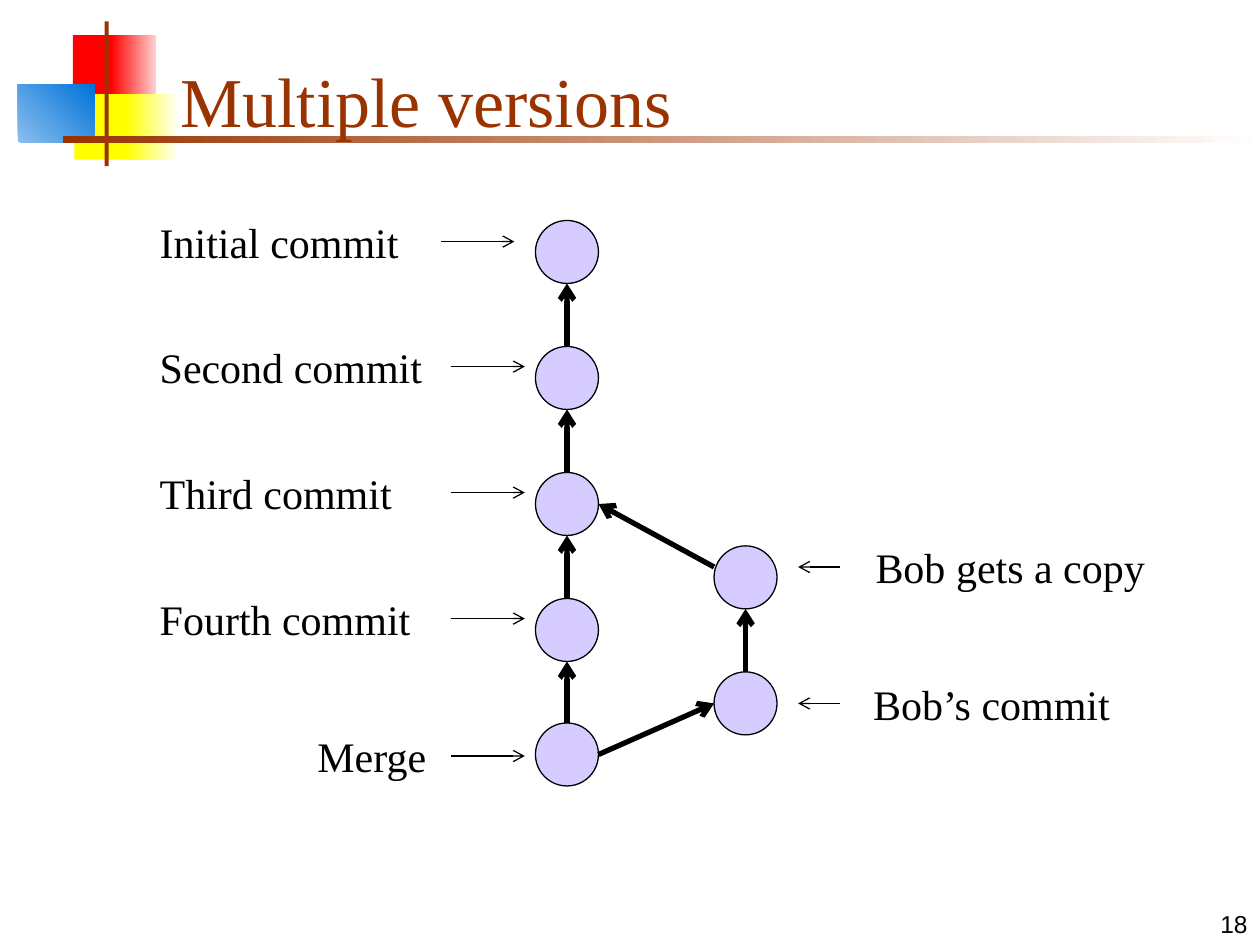
from lxml.etree import SubElement
from pptx import Presentation
from pptx.dml.color import RGBColor
from pptx.enum.shapes import MSO_CONNECTOR, MSO_SHAPE
from pptx.enum.text import MSO_ANCHOR, PP_ALIGN
from pptx.oxml.ns import qn
from pptx.util import Cm, Pt

COLORS = {
    "red": "FF0000", "pink": "FFD1D1", "yellow": "FFFF00", "cream": "FFFFF0",
    "sky": "8BBFEE", "blue": "0073D9", "brown": "993300", "white": "FFFFFF",
    "black": "000000", "node": "D6CCFF",
}
SERIF, SANS = "Times New Roman", "Arial"

DECOR = [
    (1.47, 0.71, 0.89, 1.32, ["red"], 0),
    (2.24, 0.71, 0.91, 1.32, ["red", "pink"], 0),
    (1.5, 1.9, 1.17, 1.32, ["yellow"], 0),
    (2.54, 1.9, 1.02, 1.32, ["yellow", "cream"], 0),
    (0.36, 1.7, 1.55, 1.17, ["sky", "blue"], 45),
    (2.11, 0.43, 0.08, 2.92, ["brown"], 0),
    (1.27, 2.74, 24.13, 0.14, ["brown", "white"], 0),
]

RADIUS, MAIN_X, BOB_X = 0.635, 11.43, 15.03
FIRST_Y, STEP = 5.08, 2.54
NODES = {name: (MAIN_X, FIRST_Y + i * STEP)
         for i, name in enumerate(["initial", "second", "third", "fourth"])}
NODES.update(merge=(MAIN_X, 15.21), copy=(BOB_X, 11.64), bob=(BOB_X, 14.18))

SIDES = {"top": (0, -1), "bottom": (0, 1), "left": (-1, 0), "right": (1, 0),
         "upper left": (-1, -0.33)}
LINKS = [
    ("second", "top", "initial", "bottom"),
    ("third", "top", "second", "bottom"),
    ("fourth", "top", "third", "bottom"),
    ("merge", "top", "fourth", "bottom"),
    ("bob", "top", "copy", "bottom"),
    ("copy", "upper left", "third", "right"),
    ("merge", "right", "bob", "left"),
]

LABEL_H = 1.27
LABELS = [
    ("Initial commit", 2.97, 5.92, 4.87, 8.89, 10.37, True),
    ("Second commit", 2.97, 6.15, 7.39, 9.1, 10.58, True),
    ("Third commit", 2.97, 6.15, 9.93, 9.1, 10.58, True),
    ("Fourth commit", 2.97, 6.15, 12.47, 9.1, 10.58, True),
    ("Merge", 6.15, 2.97, 15.24, 9.1, 10.58, True),
    ("Bob gets a copy", 17.4, 5.94, 11.43, 16.93, 16.09, False),
    ("Bob’s commit", 17.35, 5.33, 14.18, 16.93, 16.09, False),
]


def rgb(name):
    return RGBColor.from_string(COLORS[name])


def write(tf, text, size, font, color="black", align=PP_ALIGN.LEFT):
    p = tf.paragraphs[0]
    p.alignment = align
    r = p.add_run()
    r.text = text
    r.font.size = Pt(size)
    r.font.name = font
    r.font.color.rgb = rgb(color)


def add_text(s, box, text, size, font, wrap=True, align=PP_ALIGN.LEFT,
             anchor=MSO_ANCHOR.TOP):
    tf = s.shapes.add_textbox(*map(Cm, box)).text_frame
    tf.word_wrap = wrap
    tf.vertical_anchor = anchor
    write(tf, text, size, font, align=align)


def add_shape(s, kind, box, colors, angle=0):
    sp = s.shapes.add_shape(kind, *map(Cm, box))
    sp.shadow.inherit = False
    if len(colors) == 1:
        sp.fill.solid()
        sp.fill.fore_color.rgb = rgb(colors[0])
    else:
        sp.fill.gradient()
        sp.fill.gradient_angle = angle
        for stop, color in zip(sp.fill.gradient_stops, colors):
            stop.color.rgb = rgb(color)
    sp.line.fill.background()
    return sp


def add_arrow(s, start, end, width):
    cx = s.shapes.add_connector(MSO_CONNECTOR.STRAIGHT, *map(Cm, (*start, *end)))
    cx.line.width = Pt(width)
    cx.line.color.rgb = rgb("black")
    SubElement(cx.line._get_or_add_ln(), qn("a:tailEnd"), type="arrow")
    SubElement(cx.element.spPr, qn("a:effectLst"))


def side_point(node, side):
    return [c + RADIUS * d for c, d in zip(NODES[node], SIDES[side])]


def main():
    prs = Presentation()
    prs.slide_width, prs.slide_height = Cm(25.4), Cm(19.05)
    s = prs.slides.add_slide(prs.slide_layouts[5])

    for *box, colors, angle in DECOR:
        add_shape(s, MSO_SHAPE.RECTANGLE, box, colors, angle)

    title = s.shapes.title
    s.shapes[-1].element.addnext(title.element)
    title.left, title.top, title.width, title.height = map(
        Cm, (3.38, 0.64, 21.64, 2.34))
    title.text_frame.vertical_anchor = MSO_ANCHOR.BOTTOM
    write(title.text_frame, "Multiple versions", 40, SERIF, "brown")

    add_text(s, (20.12, 17.78, 5.28, 1.27), "18", 14, SANS,
             align=PP_ALIGN.RIGHT, anchor=MSO_ANCHOR.BOTTOM)

    for x, y in NODES.values():
        box = (x - RADIUS, y - RADIUS, 2 * RADIUS, 2 * RADIUS)
        sp = add_shape(s, MSO_SHAPE.OVAL, box, ["node"])
        sp.line.color.rgb = rgb("black")
        sp.line.width = Pt(0.75)

    for child, out_side, parent, in_side in LINKS:
        add_arrow(s, side_point(child, out_side), side_point(parent, in_side), 3)

    for text, x, w, y, start, end, wrap in LABELS:
        add_text(s, (x, y - LABEL_H / 2, w, LABEL_H), text, 24, SERIF, wrap)
        add_arrow(s, (start, y), (end, y), 0.75)

    prs.save("out.pptx")


if __name__ == "__main__":
    main()
